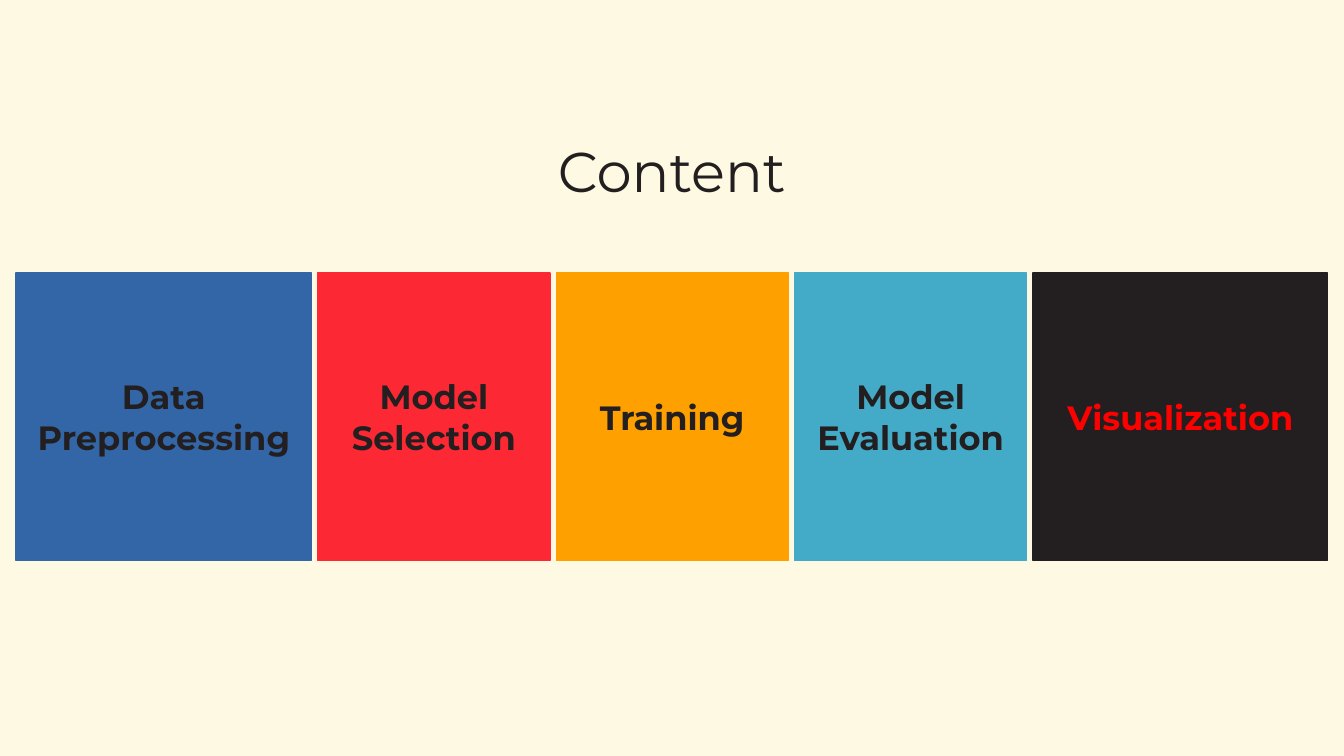
from pptx import Presentation
from pptx import util as u
from pptx.dml import color
from pptx.enum import shapes, text

Pt = u.Pt
HUES = {"cream": "FDF9E2", "ink": "231F20", "blue": "3266A6", "red": "FC2834",
        "gold": "FEA000", "teal": "43AAC7", "flame": "FF0000"}
HEAD = {"name": "Montserrat", "size": Pt(40), "bold": False}
LABEL = {"name": "Montserrat", "size": Pt(24), "bold": True}
STEPS = [("Data Preprocessing", "blue", "ink", 211),
         ("Model Selection", "red", "ink", 165.8),
         ("Training", "gold", "ink", 165.8),
         ("Model Evaluation", "teal", "ink", 165.8),
         ("Visualization", "ink", "flame", 210.5)]
GAP = 4.5


def hue(name):
    return color.RGBColor.from_string(HUES[name])


def write(shape, words, style, tint, anchor, space):
    frame = shape.text_frame
    frame.word_wrap = True
    frame.vertical_anchor = anchor
    para = frame.paragraphs[0]
    para.alignment = text.PP_ALIGN.CENTER
    para.line_spacing = space
    run = para.add_run()
    run.text = words
    for key, value in style.items():
        setattr(run.font, key, value)
    run.font.color.rgb = hue(tint)


def title(slide, left, top, width, height):
    box = slide.shapes.add_textbox(Pt(left), Pt(top), Pt(width), Pt(height))
    write(box, "Content", HEAD, "ink", text.MSO_ANCHOR.BOTTOM, 0.9)


def panels(slide, left, top, height):
    for words, fill, tint, width in STEPS:
        panel = slide.shapes.add_shape(shapes.MSO_SHAPE.RECTANGLE,
                                       Pt(left), Pt(top), Pt(width), Pt(height))
        panel.shadow.inherit = False
        panel.fill.solid()
        panel.fill.fore_color.rgb = hue(fill)
        panel.line.color.rgb = hue(fill)
        panel.line.width = Pt(1)
        write(panel, words, LABEL, tint, text.MSO_ANCHOR.MIDDLE, 1.0)
        left += width + GAP


def main():
    deck = Presentation()
    deck.slide_width, deck.slide_height = Pt(960), Pt(540)
    slide = deck.slides.add_slide(deck.slide_layouts[6])
    slide.background.fill.solid()
    slide.background.fill.fore_color.rgb = hue("cream")
    title(slide, 130.3, 65.5, 699, 84.2)
    panels(slide, 11.5, 195, 205.2)
    deck.save("out.pptx")


if __name__ == "__main__":
    main()
